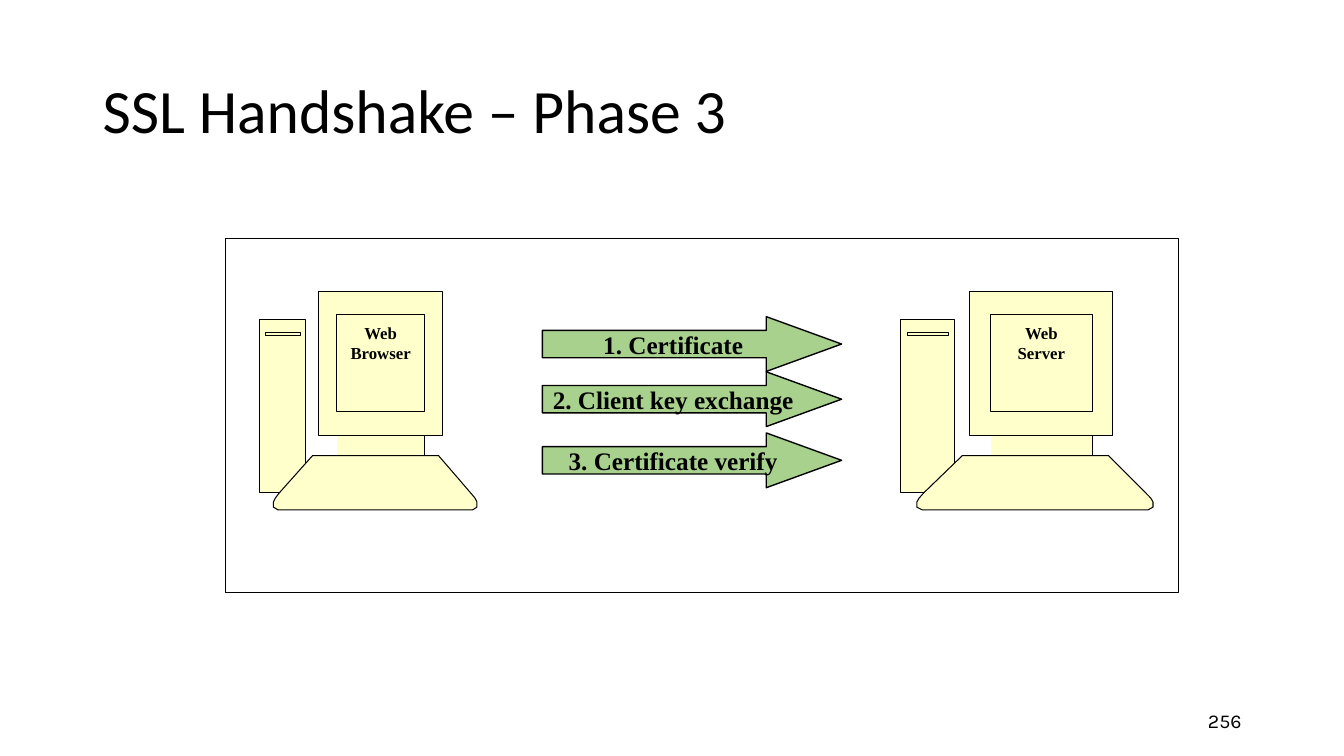
from copy import deepcopy

from pptx import Presentation
from pptx.dml.color import RGBColor
from pptx.enum import shapes, text
from pptx.oxml.ns import qn
from pptx.util import Cm, Pt

TITLE = "SSL Handshake – Phase 3"
PAGE = "256"
SERIF = "Times New Roman"
BLACK, WHITE, CREAM, GREEN = "000000", "FFFFFF", "FFFFCC", "A9D18E"

# label, left edge, horizontal stretch
COMPUTERS = [("Web Browser", 6.53, 1), ("Web Server", 22.69, 1.16)]
COMPUTER_TOP, COMPUTER_WIDTH = 7.34, 5.49
# left, top, width, height inside a computer, in cm
TOWER = (0, 0.71, 1.17, 4.37)
SLOT = (0.15, 1.04, 0.89, 0.08)
MONITOR = (1.5, 0, 3.12, 3.63)
NECK = (1.96, 3.63, 2.21, 0.51)
SCREEN = (1.96, 0.58, 2.21, 2.44)
KEYBOARD = [(1.35, 4.14), (4.52, 4.14), (4.85, 4.52), (5.33, 5.08),
            (5.44, 5.21), (5.49, 5.31), (5.49, 5.44), (5.38, 5.51),
            (0.48, 5.51), (0.36, 5.44), (0.36, 5.31), (0.41, 5.21),
            (0.51, 5.08), (1.17, 4.34)]

# label, top edge
MESSAGES = [("1. Certificate", 7.98), ("2. Client key exchange", 9.37),
            ("3. Certificate verify", 10.91)]


def color(hex_string):
    return RGBColor.from_string(hex_string)


def write(sp, words, font=SERIF, size=12, bold=False, align="CENTER",
          anchor="MIDDLE", wrap=True, spacing=None):
    tf = sp.text_frame
    tf.word_wrap = wrap
    tf.vertical_anchor = getattr(text.MSO_ANCHOR, anchor)
    p = tf.paragraphs[0]
    p.alignment = getattr(text.PP_ALIGN, align)
    if spacing:
        p.line_spacing = spacing
    r = p.add_run()
    r.text = words
    r.font.name, r.font.size, r.font.bold = font, Pt(size), bold
    r.font.color.rgb = color(BLACK)


def paint(sp, fill, width=0.75):
    sp.shadow.inherit = False
    sp.fill.solid()
    sp.fill.fore_color.rgb = color(fill)
    sp.line.color.rgb = color(BLACK)
    sp.line.width = Pt(width)
    return sp


def block(s, box, fill, kind="RECTANGLE", width=0.75):
    sp = s.shapes.add_shape(getattr(shapes.MSO_SHAPE, kind), *map(Cm, box))
    return paint(sp, fill, width)


def corners(box):
    x, y, w, h = box
    return [(x, y), (x + w, y), (x + w, y + h), (x, y + h)]


def split_contours(sp):
    """Give each contour its own path, so that overlaps stay filled."""
    whole = next(sp._element.iter(qn("a:path")))
    steps = list(whole)
    for step in steps:
        whole.remove(step)
    for step in steps:
        if step.tag == qn("a:moveTo"):
            part = deepcopy(whole)
            whole.addprevious(part)
        part.append(step)
    whole.getparent().remove(whole)


def computer(s, label, left, stretch):
    outline = None
    parts = [corners(box) for box in (TOWER, SLOT, MONITOR, NECK, SCREEN)]
    for part in parts + [KEYBOARD]:
        points = [(Cm(left + x * stretch), Cm(COMPUTER_TOP + y))
                  for x, y in part]
        if outline:
            outline.move_to(*points[0])
        else:
            outline = s.shapes.build_freeform(*points[0])
        outline.add_line_segments(points[1:], close=part != corners(NECK))
    sp = paint(outline.convert_to_shape(), CREAM)
    split_contours(sp)

    x, y, w, _ = SCREEN
    tf = sp.text_frame
    tf.margin_left = Cm(x * stretch + 0.25)
    tf.margin_right = Cm((COMPUTER_WIDTH - x - w) * stretch + 0.25)
    tf.margin_top = Cm(y + 0.22)
    write(sp, label, bold=True, anchor="TOP")


def main():
    prs = Presentation()
    prs.slide_width, prs.slide_height = Cm(33.87), Cm(19.05)
    s = prs.slides.add_slide(prs.slide_layouts[5])

    title = s.shapes.title
    title.left, title.top, title.width, title.height = map(
        Cm, (2.33, 1.01, 29.21, 3.68))
    write(title, TITLE, font="Calibri", size=44, align="LEFT", spacing=0.9)

    number = s.shapes.add_textbox(*map(Cm, (23.92, 17.66, 7.62, 1.01)))
    write(number, PAGE, font="Karla", size=14, align="RIGHT")

    block(s, (5.68, 6.01, 24.03, 8.92), WHITE)
    for label, left, stretch in COMPUTERS:
        computer(s, label, left, stretch)

    for label, top in MESSAGES:
        arrow = block(s, (13.67, top, 7.54, 1.38), GREEN, "RIGHT_ARROW", 1)
        arrow.adjustments[0], arrow.adjustments[1] = 0.5, 1.375
        write(arrow, label, size=18, bold=True, wrap=False)

    prs.save("out.pptx")


if __name__ == "__main__":
    main()
